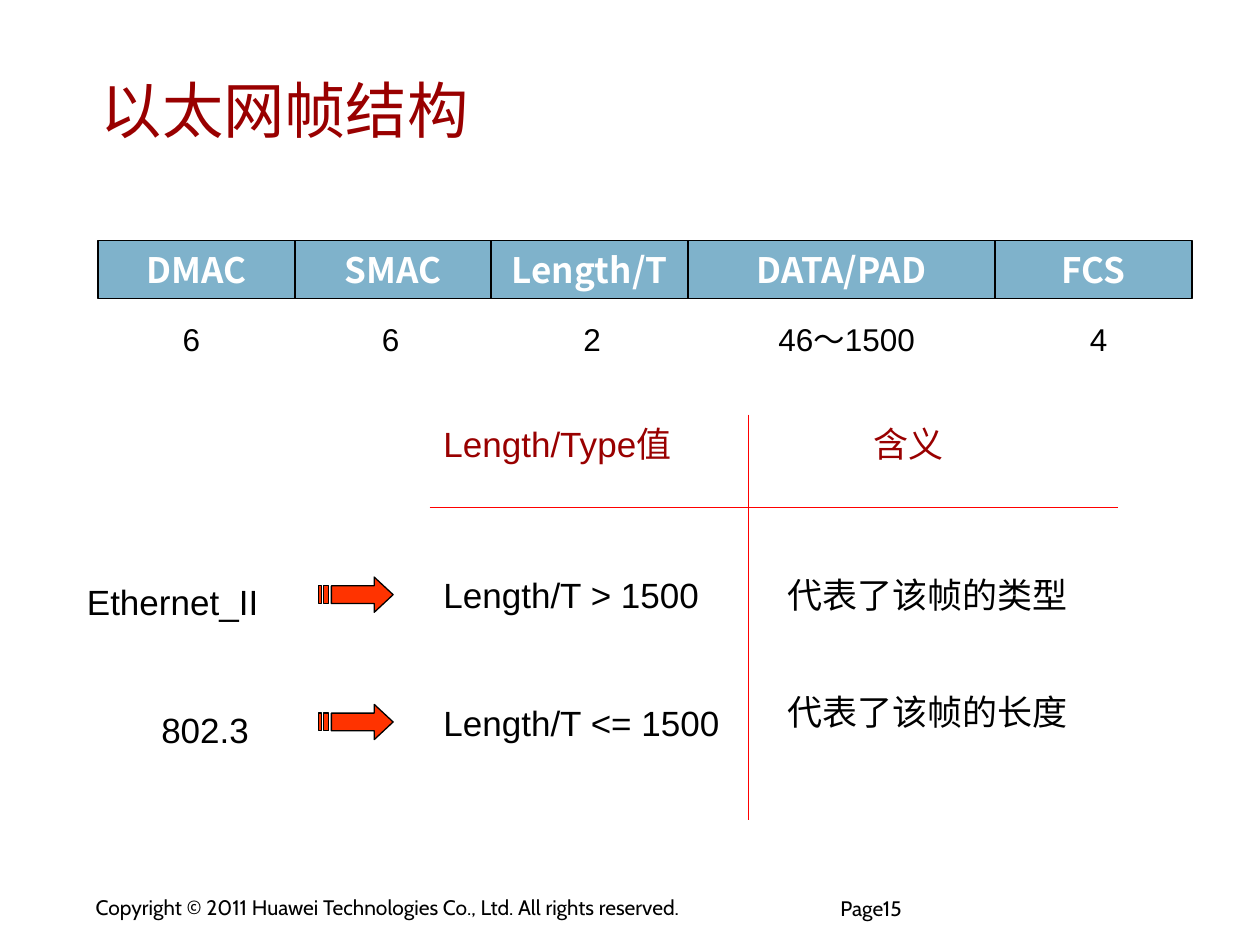
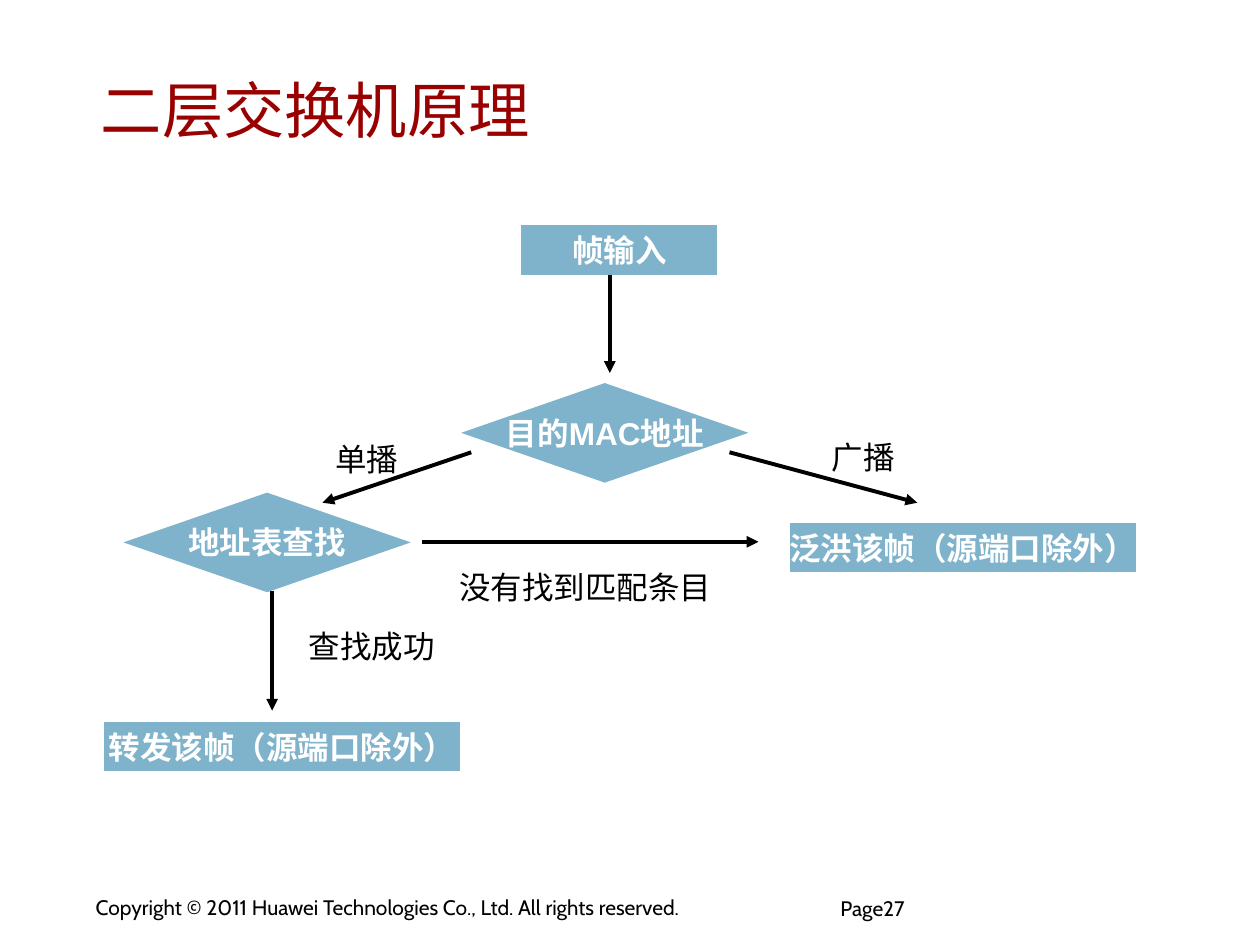
from lxml import etree
from pptx import Presentation
from pptx.dml.color import RGBColor
from pptx.enum.shapes import MSO_CONNECTOR, MSO_SHAPE
from pptx.enum.text import MSO_ANCHOR, PP_ALIGN
from pptx.oxml.ns import qn
from pptx.util import Inches, Pt

BLACK, WHITE = "000000", "FFFFFF"
WINE, RED, ORANGE, BLUE = "990000", "FF0000", "FF3300", "006699"
LATIN, CJK, HEAD = "Arial", "Noto Sans CJK SC", "Cabin"
SMALL, LARGE = (0.1, 0.05), (0.11, 0.06)


def rgb(code):
    return RGBColor.from_string(code)


def write(frame, text, size=18, color=BLACK, font=LATIN, bold=False,
          align=PP_ALIGN.LEFT, anchor=MSO_ANCHOR.TOP, inset=SMALL,
          wrap=False, gap=0, spacing=None):
    """Fill a text frame, one paragraph per line; gap is in points."""
    frame.word_wrap = wrap
    frame.vertical_anchor = anchor
    frame.margin_left = frame.margin_right = Inches(inset[0])
    frame.margin_top = frame.margin_bottom = Inches(inset[1])
    for i, line in enumerate(text.split("\n")):
        para = frame.add_paragraph() if i else frame.paragraphs[0]
        para.alignment = align
        para.space_before = Pt(gap if i else 0)
        if spacing:
            para.line_spacing = spacing
        run = para.add_run()
        run.text = line
        run.font.size, run.font.bold, run.font.name = Pt(size), bold, font
        run.font.color.rgb = rgb(color)
        east = etree.SubElement(run.font._element, qn("a:ea"))
        east.set("typeface", CJK)


def label(slide, text, left, top, width, height, **style):
    area = slide.shapes.add_textbox(
        Inches(left), Inches(top), Inches(width), Inches(height))
    write(area.text_frame, text, **style)


def paint(shape, fill, line=None, weight=1.0, alpha=None):
    shape.shadow.inherit = False
    shape.fill.solid()
    shape.fill.fore_color.rgb = rgb(fill)
    if alpha:
        color = shape._element.spPr.find(qn("a:solidFill"))[0]
        etree.SubElement(color, qn("a:alpha")).set("val", str(alpha * 1000))
    if line:
        shape.line.color.rgb = rgb(line)
        shape.line.width = Pt(weight)
    else:
        shape.line.fill.background()


def block(slide, text, left, top, width, height, line=None,
          kind=MSO_SHAPE.RECTANGLE, **style):
    """Draw a half-transparent blue shape with centred white bold text."""
    shape = slide.shapes.add_shape(
        kind, Inches(left), Inches(top), Inches(width), Inches(height))
    paint(shape, BLUE, line, alpha=50)
    write(shape.text_frame, text, color=WHITE, bold=True,
          align=PP_ALIGN.CENTER, anchor=MSO_ANCHOR.MIDDLE, **style)


def rule(slide, x1, y1, x2, y2, color=BLACK, weight=2.25, arrow=True):
    line = slide.shapes.add_connector(
        MSO_CONNECTOR.STRAIGHT, Inches(x1), Inches(y1), Inches(x2), Inches(y2))
    line.line.color.rgb = rgb(color)
    line.line.width = Pt(weight)
    if arrow:
        tail = etree.SubElement(line.line._get_or_add_ln(), qn("a:tailEnd"))
        tail.set("type", "triangle")
    etree.SubElement(line._element.spPr, qn("a:effectLst"))


def striped(slide, left, top):
    """Draw an arrow with two stripes behind its shaft."""
    low, high = 0.07, 0.21
    paths = [[(0.44, 0), (0.44, low), (0.1, low), (0.1, high),
              (0.44, high), (0.44, 0.28), (0.59, 0.14)]]
    paths += [[(a, low), (a, high), (b, high), (b, low)]
              for a, b in ((0.04, 0.08), (0, 0.02))]
    build = None
    for path in paths:
        spots = [(Inches(x), Inches(y)) for x, y in path]
        if build is None:
            build = slide.shapes.build_freeform(*spots[0])
        else:
            build.move_to(*spots[0])
        build.add_line_segments(spots[1:], close=True)
    paint(build.convert_to_shape(Inches(left), Inches(top)),
          ORANGE, BLACK, 0.75)


def start(deck, title, page):
    """Add a slide with its title, copyright line and page number."""
    slide = deck.slides.add_slide(deck.slide_layouts[5])
    head = slide.shapes.title
    head.left, head.top = Inches(0.7), Inches(0.39)
    head.width, head.height = Inches(8.45), Inches(0.95)
    write(head.text_frame, title, size=35, color=WINE, font=HEAD,
          anchor=MSO_ANCHOR.MIDDLE, wrap=True)
    label(slide, "Copyright © 2011 Huawei Technologies Co., Ltd. "
          "All rights reserved.", 0.67, 7.06, 5.57, 0.29,
          size=12, font=HEAD, inset=(0.09, 0.04))
    label(slide, f"Page{page}", 6.67, 7.14, 1.66, 0.36, size=12, font=HEAD,
          inset=(0, 0), wrap=True, spacing=0.85)
    return slide


def fields(slide, left, top):
    """Draw the frame's fields in a row, with byte counts below."""
    row = [("DMAC", 1.56, "6", 0.74), ("SMAC", 1.56, "6", 2.32),
           ("Length/T", 1.56, "2", 3.92), ("DATA/PAD", 2.44, "46～1500", 5.94),
           ("FCS", 1.56, "4", 7.94)]
    x = left
    for name, width, count, mid in row:
        block(slide, name, x, top, width, 0.46, BLACK, size=20, font=CJK)
        label(slide, count, left + mid - 0.7, top + 0.58, 1.4, 0.4,
              align=PP_ALIGN.CENTER)
        x += width


def meaning(slide, left, top):
    """Draw the crossed lines with the values and what they mean."""
    rule(slide, left, top + 0.74, left + 5.46, top + 0.74, RED, 0.75, False)
    rule(slide, left + 2.53, top, left + 2.53, top + 3.22, RED, 0.75, False)
    cells = [("Length/Type值", 0, 0, 2.53, 0.45, WINE, 0),
             ("含义", 3.41, 0, 2.34, 0.45, WINE, 0),
             ("Length/T > 1500\nLength/T <= 1500",
              0, 1.2, 2.63, 1.45, BLACK, 49),
             ("代表了该帧的类型\n代表了该帧的长度",
              2.73, 1.2, 3.22, 1.45, BLACK, 43)]
    for text, x, y, width, height, color, gap in cells:
        label(slide, text, left + x, top + y, width, height, size=20,
              color=color, inset=LARGE, wrap=True, gap=gap)


def kinds(slide, left, top):
    """Name the two frame types, each with an arrow to its row."""
    for i, (name, x, width) in enumerate(
            [("Ethernet_II", 0, 1.59), ("802.3", 0.59, 0.92)]):
        y = top + i * 1.01
        label(slide, name, left + x, y, width, 0.45, size=20, inset=LARGE)
        striped(slide, left + 1.95, y + 0.03)


def flow(slide, left, top):
    """Draw the switch's forwarding decisions as a flow chart."""
    for text, x, y, width in [("帧输入", 3.31, 0, 1.57),
                              ("泛洪该帧（源端口除外）", 5.44, 2.36, 2.76),
                              ("转发该帧（源端口除外）", 0, 3.94, 2.84)]:
        block(slide, text, left + x, top + y, width, 0.41, WHITE)
    for text, x, y in [("目的MAC地址", 2.84, 1.26), ("地址表查找", 0.16, 2.13)]:
        block(slide, text, left + x, top + y, 2.28, 0.79,
              kind=MSO_SHAPE.FLOWCHART_DECISION)
    for x1, y1, x2, y2 in [(4.02, 0.4, 4.02, 1.18), (2.92, 1.81, 1.74, 2.21),
                           (4.97, 1.81, 6.46, 2.21), (1.34, 2.91, 1.34, 3.86),
                           (2.53, 2.52, 5.2, 2.52)]:
        rule(slide, left + x1, top + y1, left + x2, top + y2)
    for text, x, y, width in [("单播", 1.74, 1.66, 0.7),
                              ("广播", 5.68, 1.65, 0.7),
                              ("查找成功", 1.5, 3.15, 1.26),
                              ("没有找到匹配条目", 2.68, 2.68, 2.29)]:
        label(slide, text, left + x, top + y, width, 0.4,
              align=PP_ALIGN.CENTER)


def main():
    deck = Presentation()
    deck.slide_width, deck.slide_height = Inches(10), Inches(7.5)
    slide = start(deck, "以太网帧结构", 15)
    fields(slide, 0.78, 1.91)
    meaning(slide, 3.41, 3.29)
    kinds(slide, 0.58, 4.55)
    slide = start(deck, "二层交换机原理", 27)
    flow(slide, 0.82, 1.78)
    deck.save("out.pptx")


if __name__ == "__main__":
    main()
